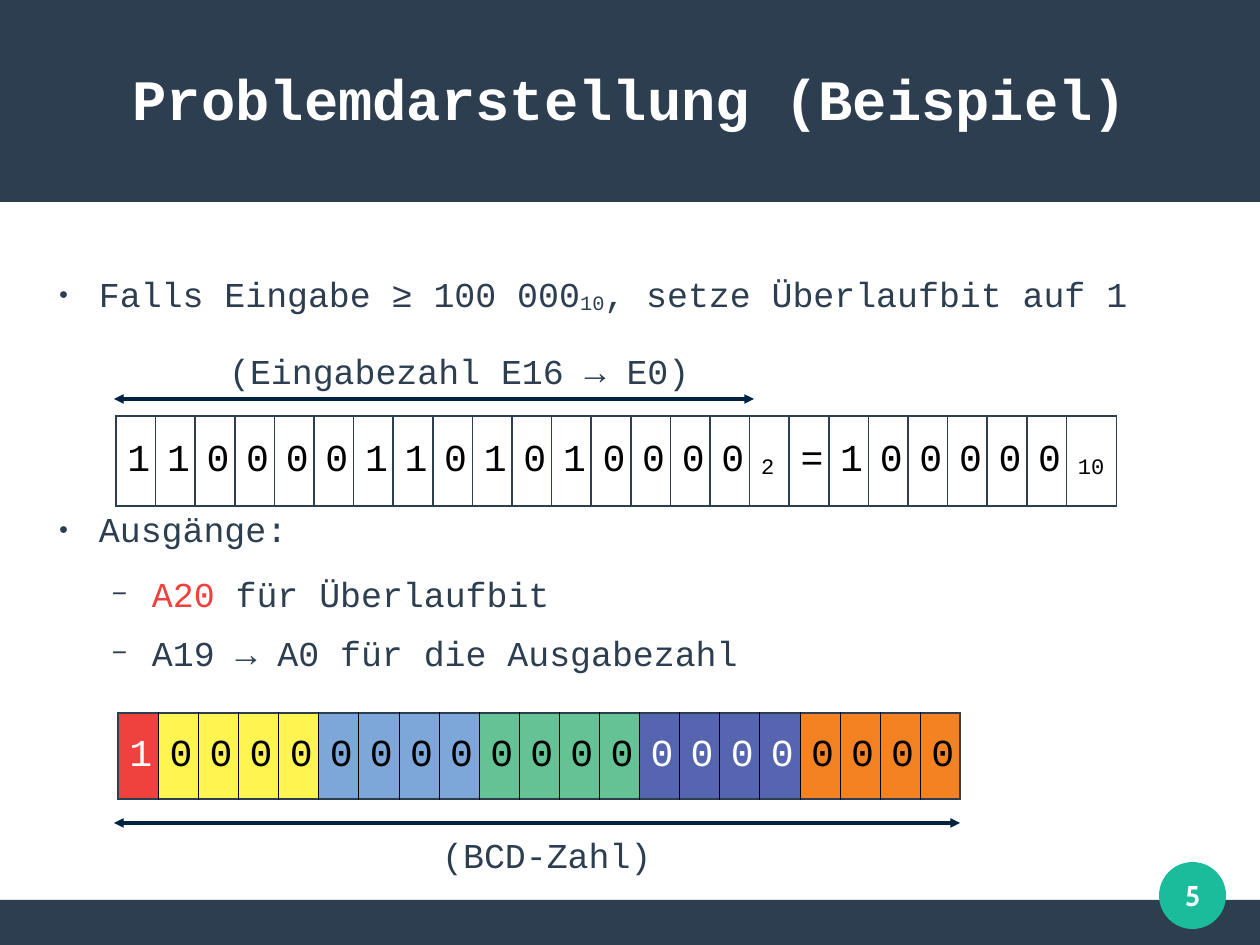
from lxml import etree
from pptx import Presentation, util as u
from pptx.dml.color import RGBColor
from pptx.enum import shapes, text
from pptx.oxml.ns import qn

COLORS = {
    "navy": "2C3E50", "teal": "1ABC9C", "white": "FFFFFF", "black": "000000",
    "arrow": "002342", "red": "EF413D", "yellow": "FFF450", "blue": "7DA7D8",
    "green": "65C295", "indigo": "5565AF", "orange": "F58220",
}
MONO = "Courier New"
PX = 8000  # EMU per px

TITLE = "Problemdarstellung (Beispiel)"
PAGE_NUMBER = "5"
SUB = -8000  # subscript offset, thousandths of a percent

# A span is (text, color, baseline); a bullet is (level, spans).
CONDITION = [
    (0, [("Falls Eingabe ≥ 100 000", "navy", 0), ("10", "navy", SUB),
         (", setze Überlaufbit auf 1", "navy", 0)]),
]
OUTPUTS = [
    (0, [("Ausgänge:", "navy", 0)]),
    (1, [("A20", "red", 0), (" für Überlaufbit", "navy", 0)]),
    (1, [("A19 → A0 für die Ausgabezahl", "navy", 0)]),
]
# Per level: left margin px, space after pt, bullet, bullet size %
LEVELS = [(54, 14.1, "●", 45), (107, 11.3, "−", 75)]

INPUT_CELLS = [*"1100001101010000", "2", "=", *"100000", "10"]
INPUT_SUBSCRIPTS = (16, 24)
# Digits, fill and text color of each output group
OUTPUT_GROUPS = [
    ("1", "red", "white"), ("0000", "yellow", "black"), ("0000", "blue", "black"),
    ("0000", "green", "black"), ("0000", "indigo", "white"), ("0000", "orange", "black"),
]
# Arrow: left, right, y
ARROWS = [(114, 754, 399), (114, 960, 823)]
# Label: text, left, top, width, height
LABELS = [
    ("(Eingabezahl E16 → E0)", 218, 344, 485, 55),
    ("(BCD-Zahl)", 431, 828, 232, 55),
]


def px(*lengths):
    return [u.Emu(round(length * PX)) for length in lengths]


def rgb(name):
    return RGBColor.from_string(COLORS[name])


def add_span(para, words, size, color, font=MONO, bold=False, baseline=0):
    span = para.add_run()
    span.text = words
    span.font.size = u.Pt(size)
    span.font.name = font
    span.font.bold = bold
    span.font.color.rgb = rgb(color)
    if baseline:
        span.font._element.set("baseline", str(baseline))


def clear_insets(frame):
    frame.margin_left = frame.margin_right = frame.margin_top = frame.margin_bottom = 0


def add_plain_shape(page, kind, color, *place):
    shape = page.shapes.add_shape(kind, *px(*place))
    shape.shadow.inherit = False
    shape.fill.solid()
    shape.fill.fore_color.rgb = rgb(color)
    shape.line.fill.background()
    return shape


def add_bullets(page, bullets, *place):
    frame = page.shapes.add_textbox(*px(*place)).text_frame
    frame.word_wrap = True
    clear_insets(frame)
    for index, (level, spans) in enumerate(bullets):
        para = frame.add_paragraph() if index else frame.paragraphs[0]
        margin, after, char, percent = LEVELS[level]
        props = para._p.get_or_add_pPr()
        props.set("marL", str(margin * PX))
        props.set("indent", str(-40 * PX))
        tint = etree.SubElement(props, qn("a:buClr"))
        etree.SubElement(tint, qn("a:srgbClr"), val=COLORS["navy"])
        etree.SubElement(props, qn("a:buSzPct"), val=str(percent * 1000))
        etree.SubElement(props, qn("a:buFont"), typeface="Arial")
        etree.SubElement(props, qn("a:buChar"), char=char)
        para.level = level
        para.space_after = u.Pt(after)
        for words, color, baseline in spans:
            add_span(para, words, 22, color, baseline=baseline)


def set_border(cell, side, color, points):
    line = etree.SubElement(cell._tc.get_or_add_tcPr(), qn(f"a:ln{side}"), w=str(u.Pt(points)))
    fill = etree.SubElement(line, qn("a:solidFill"))
    etree.SubElement(fill, qn("a:srgbClr"), val=COLORS[color])


def add_digit_table(page, cells, widths, left, top, height, inner):
    """One row of (text, fill, text color, baseline); inner is the border between cells."""
    outer = ("navy", 1.13)
    last = len(cells) - 1
    frame = page.shapes.add_table(1, len(cells), *px(left, top, sum(widths), height))
    table = frame.table
    table.first_row = table.horz_banding = False
    for index, (words, fill, color, baseline) in enumerate(cells):
        table.columns[index].width = px(widths[index])[0]
        cell = table.cell(0, index)
        cell.vertical_anchor = text.MSO_ANCHOR.MIDDLE
        set_border(cell, "L", *(inner if index else outer))
        set_border(cell, "R", *(inner if index < last else outer))
        set_border(cell, "T", *outer)
        set_border(cell, "B", *outer)
        cell.fill.solid()
        cell.fill.fore_color.rgb = rgb(fill)
        add_span(cell.text_frame.paragraphs[0], words, 24, color, baseline=baseline)


def add_double_arrow(page, left, right, y):
    arrow = page.shapes.add_connector(shapes.MSO_CONNECTOR.STRAIGHT, *px(left, y, right, y))
    arrow.line.color.rgb = rgb("arrow")
    arrow.line.width = 0
    line = arrow.line._get_or_add_ln()
    for end in ("headEnd", "tailEnd"):
        etree.SubElement(line, qn(f"a:{end}"), type="triangle")
    etree.SubElement(arrow._element.spPr, qn("a:effectLst"))


def main():
    deck = Presentation()
    deck.slide_width, deck.slide_height = px(1260, 945)
    page = deck.slides.add_slide(deck.slide_layouts[6])

    kinds = shapes.MSO_SHAPE
    add_plain_shape(page, kinds.RECTANGLE, "navy", 0, 900, 1260, 45)
    add_plain_shape(page, kinds.RECTANGLE, "navy", 0, 0, 1260, 202)
    badge = add_plain_shape(page, kinds.OVAL, "teal", 1159, 862, 67, 67)
    heading = page.shapes.add_textbox(*px(45, 38, 1170, 120))
    for box, words, size, font in ((heading, TITLE, 36, MONO), (badge, PAGE_NUMBER, 18, "Cabin")):
        frame = box.text_frame
        frame.word_wrap = True
        frame.vertical_anchor = text.MSO_ANCHOR.MIDDLE
        clear_insets(frame)
        para = frame.paragraphs[0]
        para.alignment = text.PP_ALIGN.CENTER
        add_span(para, words, size, "white", font, bold=True)

    add_bullets(page, CONDITION, 45, 273, 1170, 60)
    add_bullets(page, OUTPUTS, 45, 508, 1170, 190)

    output_cells = [(digit, fill, color, 0)
                    for digits, fill, color in OUTPUT_GROUPS for digit in digits]
    add_digit_table(page, output_cells, [842 / 21] * 21, 118, 713, 86, ("black", 0.06))
    input_cells = [(words, "white", "black", SUB if index in INPUT_SUBSCRIPTS else 0)
                   for index, words in enumerate(INPUT_CELLS)]
    add_digit_table(page, input_cells, [951 / 24] * 24 + [50], 116, 416, 90, ("navy", 1.13))

    for arrow in ARROWS:
        add_double_arrow(page, *arrow)
    for words, *place in LABELS:
        frame = page.shapes.add_textbox(*px(*place)).text_frame
        frame.word_wrap = False
        add_span(frame.paragraphs[0], words, 22, "navy")

    deck.save("out.pptx")


if __name__ == "__main__":
    main()
